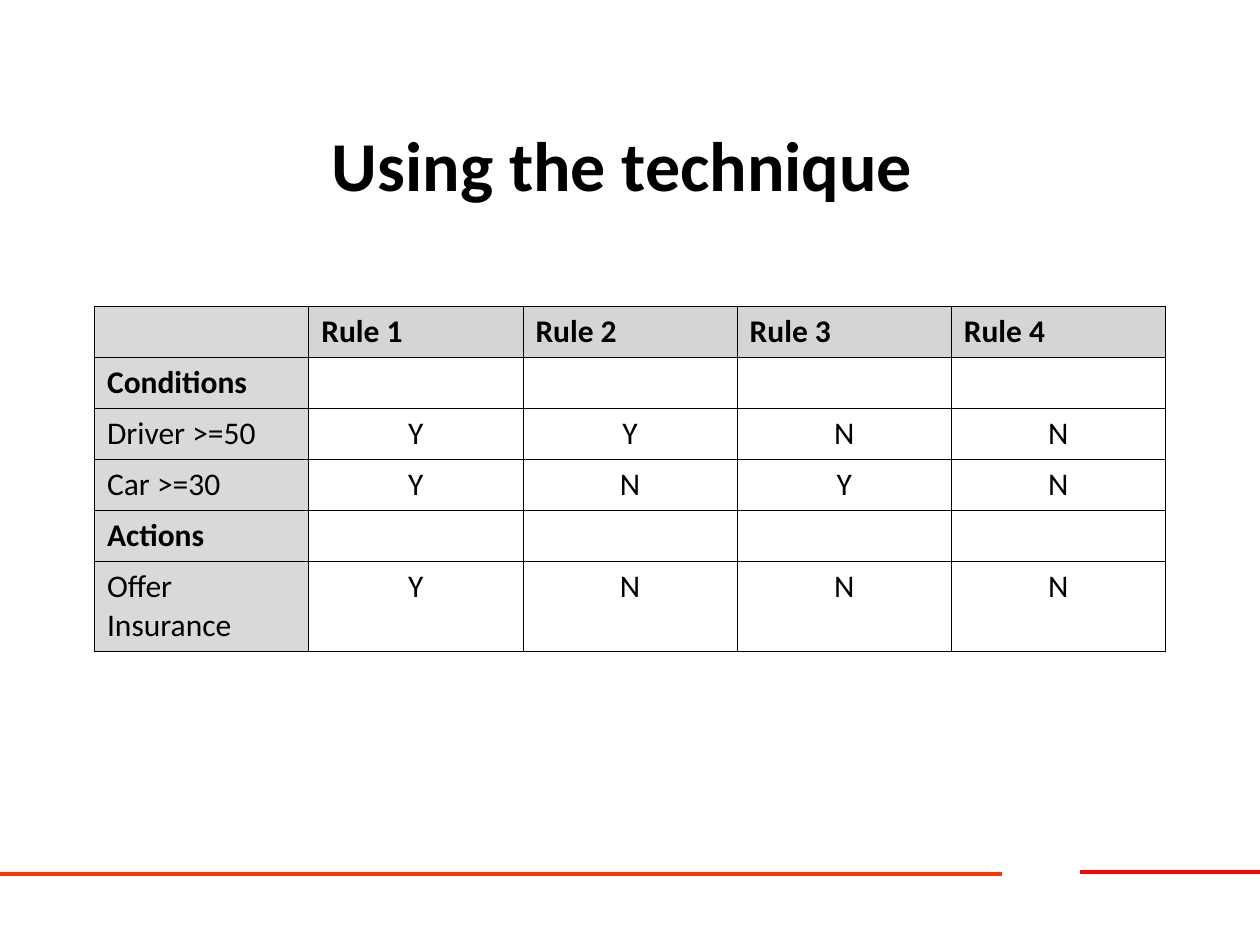
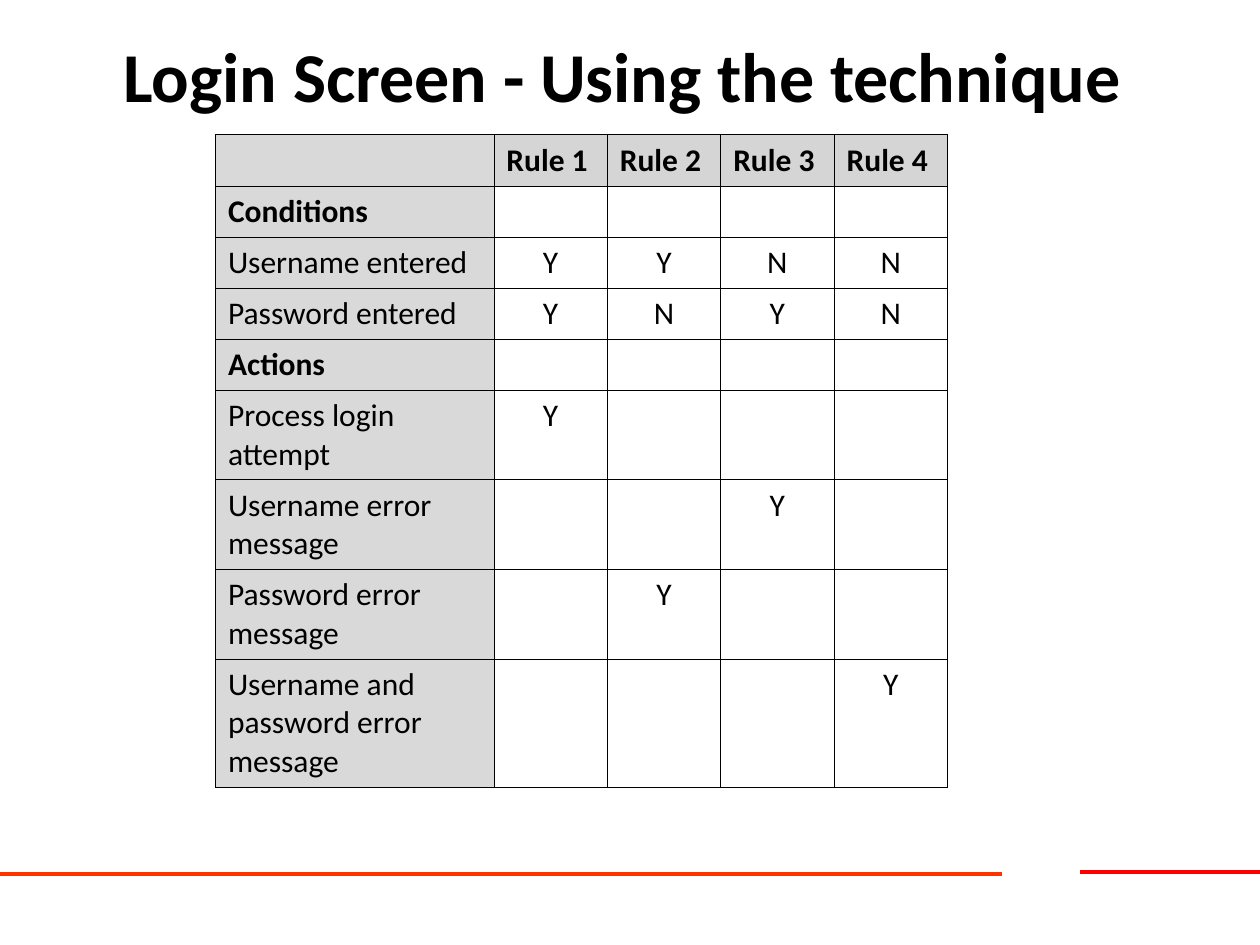
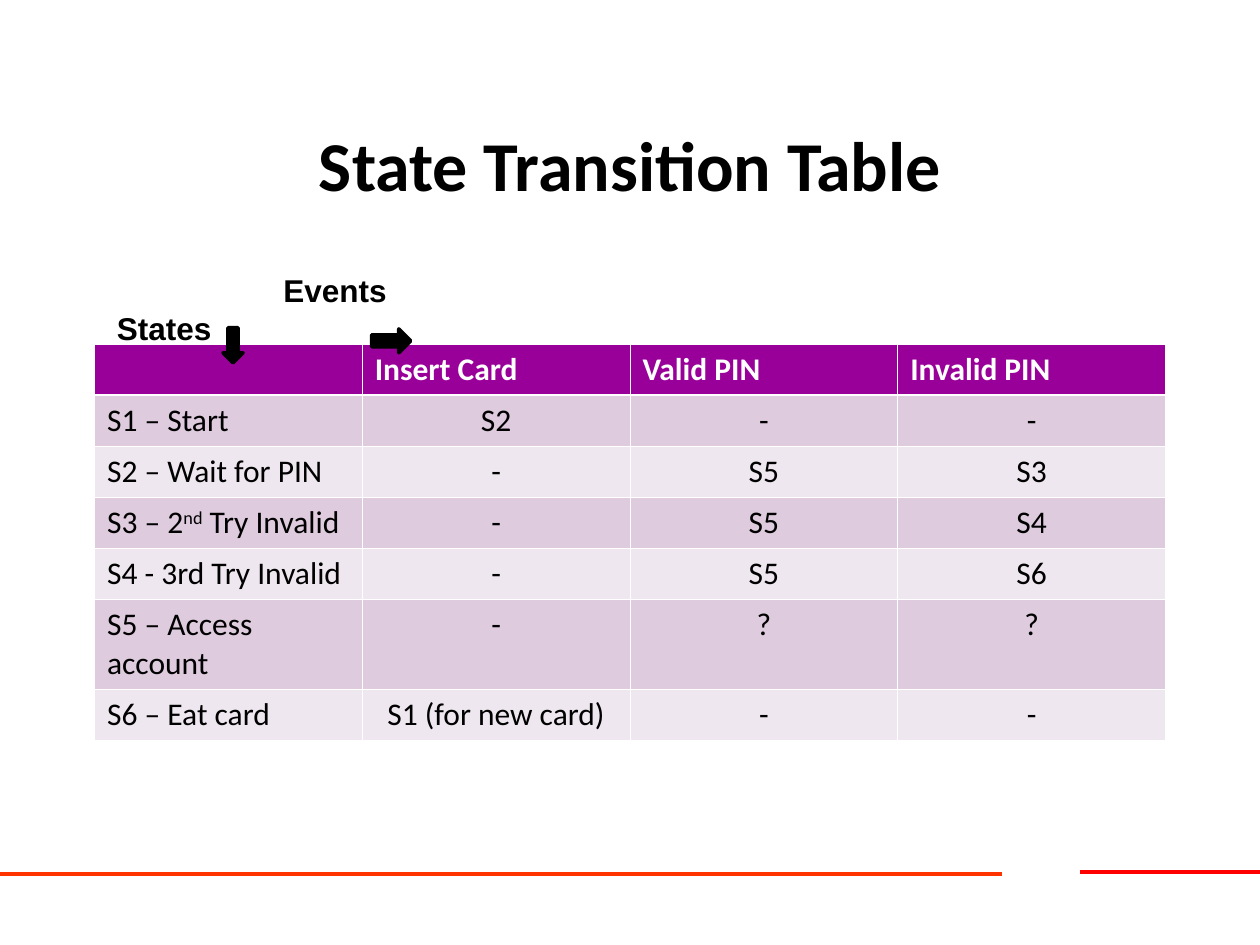
"""Build three slides of decision and state transition tables."""
from dataclasses import dataclass
from typing import NamedTuple

import pptx
import pptx.dml.color
import pptx.enum.shapes
import pptx.enum.text
import pptx.oxml
import pptx.oxml.ns
import pptx.presentation
import pptx.slide
import pptx.table
import pptx.text.text
import pptx.util
from pptx.util import Inches

ALIGN = pptx.enum.text.PP_ALIGN
ANCHOR = pptx.enum.text.MSO_ANCHOR
SHAPE = pptx.enum.shapes.MSO_SHAPE


@dataclass(frozen=True)
class Theme:
    """Colours, fonts and sizes shared by all slides."""
    ink: str = "000000"
    paper: str = "FFFFFF"
    footer_red: str = "FF0000"
    footer_orange: str = "FF3300"
    rule_header: str = "D5D5D5"
    rule_label: str = "D9D9D9"
    state_header: str = "990099"
    state_odd: str = "DECBDE"
    state_even: str = "EFE7EF"
    font: str = "Calibri"
    caption_font: str = "Arial"
    title_size: int = 40
    body_size: int = 18
    footer_width: float = 2.25
    arrow_width: float = 2
    grid_width: float = 0.45
    header_rule_width: float = 1.47


THEME = Theme()


class Run(NamedTuple):
    """A stretch of text, raised or not."""
    text: str
    raised: bool = False


class Row(NamedTuple):
    """A table row: its label, its values and its height in text lines."""
    label: tuple[Run, ...]
    values: tuple[str, ...]
    lines: int = 1


class FooterRule(NamedTuple):
    """A horizontal line near the foot of the slide."""
    start: float
    end: float
    y: float
    colour: str


class Arrow(NamedTuple):
    """A block arrow beside the table captions."""
    kind: SHAPE
    left: float
    top: float
    width: float
    height: float


@dataclass(frozen=True)
class Grid:
    """A table with its place, columns and rows."""
    left: float
    top: float
    columns: tuple[float, ...]
    header: tuple[str, ...]
    rows: tuple[Row, ...]
    is_state_table: bool = False


@dataclass(frozen=True)
class Page:
    """A titled slide holding one table."""
    title: str
    title_top: float
    grid: Grid


FOOTER = (
    FooterRule(8.57, 10, 6.92, THEME.footer_red),
    FooterRule(0, 7.95, 6.94, THEME.footer_orange),
)
ARROWS = (
    Arrow(SHAPE.DOWN_ARROW, 1.77, 2.6, 0.16, 0.28),
    Arrow(SHAPE.RIGHT_ARROW, 2.95, 2.61, 0.31, 0.19),
)
CAPTIONS = (("Events", 1.32), ("States", 0))
RULES = ("", "Rule 1", "Rule 2", "Rule 3", "Rule 4")


def row(label: str, *values: str, lines: int = 1) -> Row:
    """Make a row with a plain label."""
    return Row((Run(label),), values, lines)


def section(label: str) -> Row:
    """Make a heading row without values."""
    return row(label, *[""] * 4)


PAGES = (
    Page("Using the technique ", 0.67, Grid(0.75, 2.43, (1.7,) * 5, RULES, (
        section("Conditions"),
        row("Driver >=50", *"YYNN"),
        row("Car >=30", *"YNYN"),
        section("Actions"),
        row("Offer Insurance", *"YNNN", lines=2),
    ))),
    Page("Login Screen - Using the technique ", -0.03, Grid(1.71, 1.07, (2.21,) + (0.9,) * 4, RULES, (
        section("Conditions"),
        row("Username entered", *"YYNN"),
        row("Password entered", *"YNYN"),
        section("Actions"),
        row("Process login attempt", "Y", "", "", "", lines=2),
        row("Username error message", "", "", "Y", "", lines=2),
        row("Password error message", "", "Y", "", "", lines=2),
        row("Username and password error message", "", "", "", "Y", lines=3),
    ))),
    Page("State Transition Table", 0.67, Grid(
        0.75, 2.73, (8.5 / 4,) * 4, ("", "Insert Card", "Valid PIN", "Invalid PIN"), (
            row("S1 – Start", "S2", "-", "-"),
            row("S2 – Wait for PIN", "-", "S5", "S3"),
            Row((Run("S3 – 2"), Run("nd", True), Run(" Try Invalid")), ("-", "S5", "S4")),
            row("S4 - 3rd Try Invalid", "-", "S5", "S6"),
            row("S5 – Access account", "-", "?", "?", lines=2),
            row("S6 – Eat card", "S1 (for new card)", "-", "-"),
        ), is_state_table=True)),
)


def rgb(colour: str) -> pptx.dml.color.RGBColor:
    """Turn a hex string into a colour."""
    return pptx.dml.color.RGBColor.from_string(colour)


def write(paragraph: pptx.text.text._Paragraph, run: Run, size: int = THEME.body_size,
          bold: bool = False, colour: str = THEME.ink, font: str = THEME.font) -> None:
    """Add one formatted run to a paragraph."""
    added = paragraph.add_run()
    added.text = run.text
    added.font.name = font
    added.font.size = pptx.util.Pt(size)
    added.font.bold = bold
    added.font.color.rgb = rgb(colour)
    if run.raised:
        added._r.get_or_add_rPr().set("baseline", "30000")


def add_footer(slide: pptx.slide.Slide) -> None:
    """Draw the footer lines and place them on the layout of the slide."""
    for number, rule in enumerate(FOOTER, start=100):
        line = slide.shapes.add_connector(
            pptx.enum.shapes.MSO_CONNECTOR.STRAIGHT,
            Inches(rule.start), Inches(rule.y), Inches(rule.end), Inches(rule.y))
        line.line.color.rgb = rgb(rule.colour)
        line.line.width = pptx.util.Pt(THEME.footer_width)
        line.element.spPr.append(pptx.oxml.parse_xml(
            f"<a:effectLst {pptx.oxml.ns.nsdecls('a')}/>"))
        line.element.nvCxnSpPr.cNvPr.set("id", str(number))
        slide.slide_layout.shapes.element.append(line.element)


def add_title(slide: pptx.slide.Slide, page: Page) -> None:
    """Place and fill the title."""
    title = slide.shapes.title
    title.left, title.top = Inches(0.75), Inches(page.title_top)
    title.width, title.height = Inches(8.5), Inches(1.25)
    frame = title.text_frame
    frame.word_wrap = True
    frame.auto_size = pptx.enum.text.MSO_AUTO_SIZE.NONE
    frame.vertical_anchor = ANCHOR.MIDDLE
    frame.paragraphs[0].alignment = ALIGN.CENTER
    write(frame.paragraphs[0], Run(page.title), THEME.title_size, bold=True)


def set_borders(cell: pptx.table._Cell, colour: str, top: float, bottom: float) -> None:
    """Draw the four borders of a cell."""
    widths = {"L": THEME.grid_width, "R": THEME.grid_width, "T": top, "B": bottom}
    for side, width in widths.items():
        cell._tc.get_or_add_tcPr().append(pptx.oxml.parse_xml(
            f'<a:ln{side} {pptx.oxml.ns.nsdecls("a")} w="{pptx.util.Pt(width)}">'
            f'<a:solidFill><a:srgbClr val="{colour}"/></a:solidFill></a:ln{side}>'))


def cell_fill(grid: Grid, row_index: int, column_index: int) -> str | None:
    """Choose the fill of a cell from its place in the table."""
    if grid.is_state_table:
        if row_index == 0:
            return THEME.state_header
        return THEME.state_odd if row_index % 2 else THEME.state_even
    if column_index == 0:
        return THEME.rule_label
    return THEME.rule_header if row_index == 0 else None


def fill_cell(cell: pptx.table._Cell, grid: Grid, row_index: int, column_index: int,
              runs: tuple[Run, ...], bold: bool) -> None:
    """Write, border and fill one cell."""
    is_header = row_index == 0
    paragraph = cell.text_frame.paragraphs[0]
    paragraph.alignment = ALIGN.LEFT if is_header or column_index == 0 else ALIGN.CENTER
    for run in runs:
        if run.text:
            write(paragraph, run, bold=bold,
                  colour=THEME.paper if grid.is_state_table and is_header else THEME.ink)
    thick, thin = THEME.header_rule_width, THEME.grid_width
    if grid.is_state_table:
        set_borders(cell, THEME.paper, thick if row_index == 1 else thin, thick if is_header else thin)
    else:
        set_borders(cell, THEME.ink, thin, thin)
    colour = cell_fill(grid, row_index, column_index)
    if colour:
        cell.fill.solid()
        cell.fill.fore_color.rgb = rgb(colour)
    else:
        cell.fill.background()


def add_grid(slide: pptx.slide.Slide, grid: Grid) -> None:
    """Draw the table."""
    rows = (row(*grid.header),) + grid.rows
    heights = [0.1 + 0.3 * entry.lines for entry in rows]
    table = slide.shapes.add_table(
        len(rows), len(grid.columns), Inches(grid.left), Inches(grid.top),
        Inches(sum(grid.columns)), Inches(sum(heights))).table
    table.first_row = table.horz_banding = False
    for column, width in zip(table.columns, grid.columns):
        column.width = Inches(width)
    for row_index, (entry, height) in enumerate(zip(rows, heights)):
        table.rows[row_index].height = Inches(height)
        bold = row_index == 0 or not any(entry.values)
        contents = [entry.label] + [(Run(value),) for value in entry.values]
        for column_index, runs in enumerate(contents):
            fill_cell(table.cell(row_index, column_index), grid, row_index, column_index, runs, bold)


def add_axis_captions(slide: pptx.slide.Slide) -> None:
    """Label the states and events axes, with an arrow for each."""
    frame = slide.shapes.add_textbox(Inches(0.83), Inches(2.1), Inches(2.52), Inches(1)).text_frame
    frame.word_wrap = True
    for index, (caption, indent) in enumerate(CAPTIONS):
        paragraph = frame.add_paragraph() if index else frame.paragraphs[0]
        paragraph._p.get_or_add_pPr().set("marL", str(Inches(indent)))
        write(paragraph, Run(caption), bold=True, font=THEME.caption_font)
    for arrow in ARROWS:
        pointer = slide.shapes.add_shape(
            arrow.kind, Inches(arrow.left), Inches(arrow.top), Inches(arrow.width), Inches(arrow.height))
        pointer.shadow.inherit = False
        pointer.fill.solid()
        pointer.fill.fore_color.rgb = rgb(THEME.ink)
        pointer.line.color.rgb = rgb(THEME.ink)
        pointer.line.width = pptx.util.Pt(THEME.arrow_width)


def main() -> None:
    """Build and save the slides."""
    deck = pptx.Presentation()
    deck.slide_width, deck.slide_height = Inches(10), Inches(7.5)
    title_only = deck.slide_layouts[5]
    for index, page in enumerate(PAGES):
        slide = deck.slides.add_slide(title_only)
        if index == 0:
            add_footer(slide)
        add_title(slide, page)
        add_grid(slide, page.grid)
        if page.grid.is_state_table:
            add_axis_captions(slide)
    deck.save("out.pptx")


if __name__ == "__main__":
    main()
